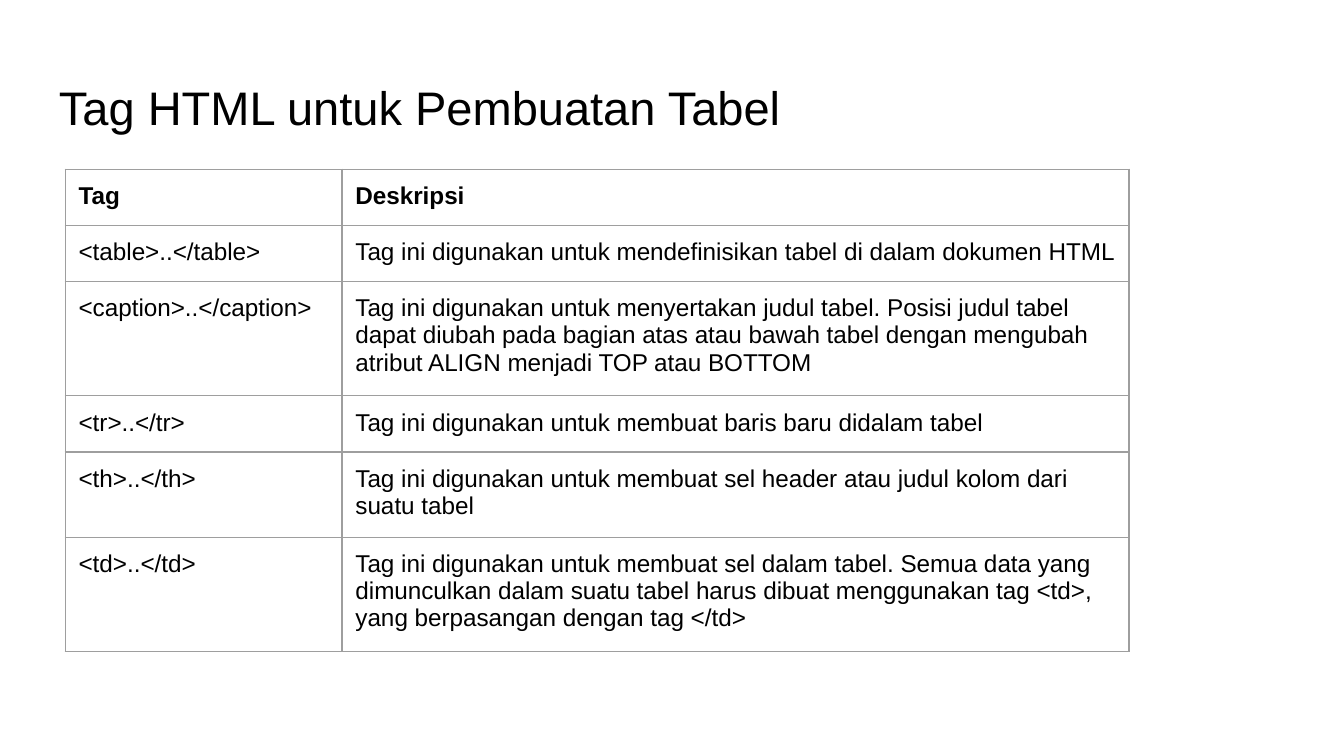
from typing import NamedTuple

from lxml import etree
from pptx import Presentation
from pptx.dml.color import RGBColor
from pptx.enum.text import MSO_ANCHOR
from pptx.oxml.ns import qn
from pptx.util import Emu, Pt

EMU_PER_PX = 4572  # 200 px to the inch
FONT = "Arial"
BLACK = RGBColor(0x00, 0x00, 0x00)
BORDER_GREY = RGBColor(0x9E, 0x9E, 0x9E)
ANCHOR_TOP = MSO_ANCHOR.TOP
ANCHOR_MIDDLE = MSO_ANCHOR.MIDDLE
INSET = 20
ROW_HEIGHT = 83  # rows with wrapped text grow from this minimum
COLUMN_WIDTHS = (412, 1171)


class TagRow(NamedTuple):
    tag: str
    description: str
    bold: bool = False


TAG_ROWS = (
    TagRow("Tag", "Deskripsi", bold=True),
    TagRow("<table>..</table>",
           "Tag ini digunakan untuk mendefinisikan tabel di dalam dokumen HTML"),
    TagRow("<caption>..</caption>",
           "Tag ini digunakan untuk menyertakan judul tabel. Posisi judul tabel "
           "dapat diubah pada bagian atas atau bawah tabel dengan mengubah "
           "atribut ALIGN menjadi TOP atau BOTTOM"),
    TagRow("<tr>..</tr>",
           "Tag ini digunakan untuk membuat baris baru didalam tabel"),
    TagRow("<th>..</th>",
           "Tag ini digunakan untuk membuat sel header atau judul kolom dari "
           "suatu tabel"),
    TagRow("<td>..</td>",
           "Tag ini digunakan untuk membuat sel dalam tabel. Semua data yang "
           "dimunculkan dalam suatu tabel harus dibuat menggunakan tag <td>, "
           "yang berpasangan dengan tag </td>"),
)


def px(length: int) -> Emu:
    return Emu(length * EMU_PER_PX)


def write_text(holder, text: str, *, size: float, bold: bool = False,
               anchor=ANCHOR_TOP) -> None:
    """Fill a text frame or a table cell with one formatted paragraph."""
    holder.margin_left = holder.margin_right = px(INSET)
    holder.margin_top = holder.margin_bottom = px(INSET)
    holder.vertical_anchor = anchor
    frame = getattr(holder, "text_frame", holder)
    frame.word_wrap = True
    run = frame.paragraphs[0].add_run()
    run.text = text
    run.font.name = FONT
    run.font.size = Pt(size)
    run.font.bold = bold
    run.font.color.rgb = BLACK


def add_borders(cell) -> None:
    properties = cell._tc.get_or_add_tcPr()
    for position, side in enumerate(("lnL", "lnR", "lnT", "lnB")):
        line = etree.Element(qn(f"a:{side}"), w=str(Pt(0.75)))
        fill = etree.SubElement(line, qn("a:solidFill"))
        etree.SubElement(fill, qn("a:srgbClr"), val=str(BORDER_GREY))
        properties.insert(position, line)


def add_title(slide, text: str) -> None:
    title = slide.shapes.add_textbox(px(68), px(97), px(1864), px(125))
    write_text(title.text_frame, text, size=25.2, anchor=ANCHOR_MIDDLE)


def add_tag_table(slide, rows: tuple[TagRow, ...]) -> None:
    table = slide.shapes.add_table(
        len(rows), len(COLUMN_WIDTHS), px(97), px(252),
        px(sum(COLUMN_WIDTHS)), px(ROW_HEIGHT * len(rows))).table
    table.first_row = False
    table.horz_banding = False
    for column, width in zip(table.columns, COLUMN_WIDTHS):
        column.width = px(width)
    for table_row, row in zip(table.rows, rows):
        table_row.height = px(ROW_HEIGHT)
        for cell, text in zip(table_row.cells, (row.tag, row.description)):
            write_text(cell, text, size=13, bold=row.bold)
            cell.fill.background()
            add_borders(cell)


def main() -> None:
    presentation = Presentation()
    presentation.slide_width = px(2000)
    presentation.slide_height = px(1125)
    slide = presentation.slides.add_slide(presentation.slide_layouts[6])
    add_title(slide, "Tag HTML untuk Pembuatan Tabel")
    add_tag_table(slide, TAG_ROWS)
    presentation.save("out.pptx")


if __name__ == "__main__":
    main()
